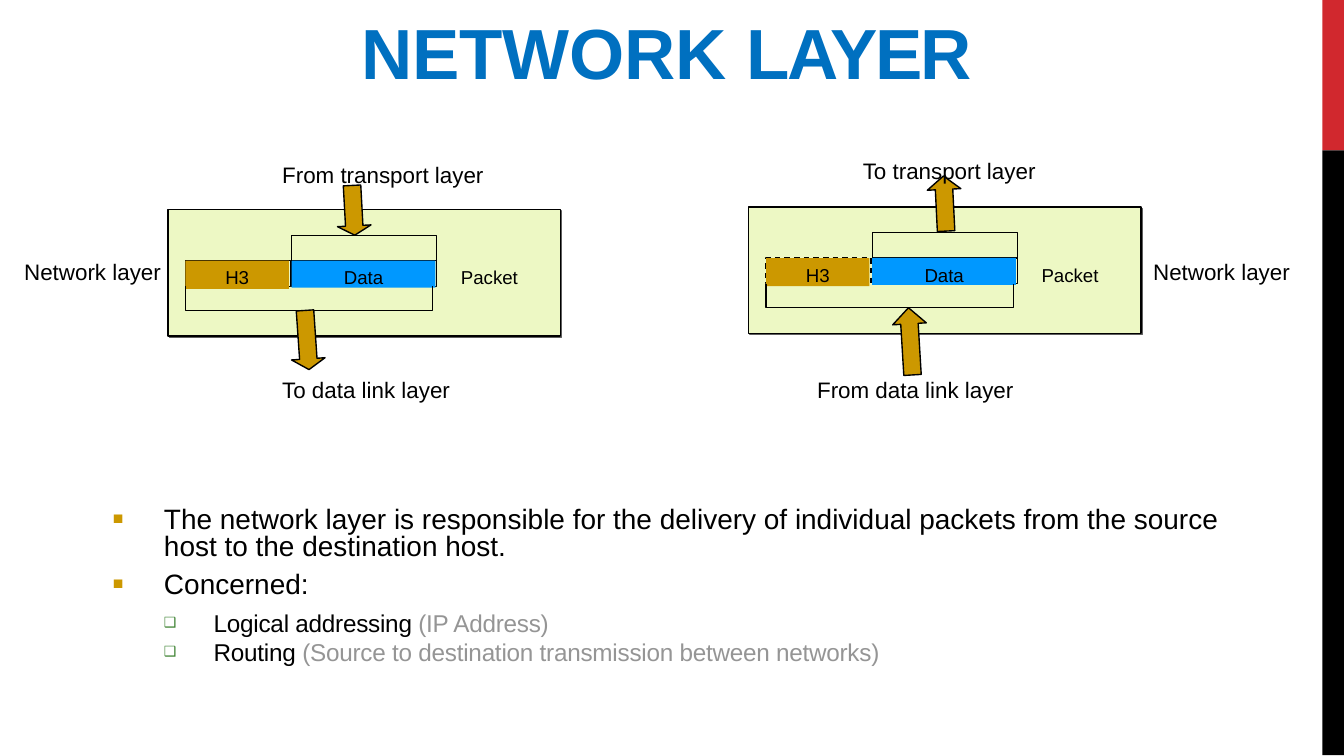
from math import hypot

from lxml.etree import SubElement
from pptx import Presentation
from pptx.dml.color import RGBColor
from pptx.enum.dml import MSO_LINE
from pptx.enum.shapes import MSO_SHAPE
from pptx.enum.text import MSO_ANCHOR, MSO_AUTO_SIZE, PP_ALIGN
from pptx.oxml.ns import qn
from pptx.util import Inches, Pt

BLACK, GOLD, GREY = "000000", "CC9800", "959595"


def color(text):
    return RGBColor.from_string(text)


def apply(item, **values):
    for name, value in values.items():
        setattr(item, name, value)


def place(shape, left, top, width, height):
    apply(shape, left=Inches(left), top=Inches(top),
          width=Inches(width), height=Inches(height))


def paint(shape, fill=None, line=None):
    shape.shadow.inherit = False
    if fill:
        shape.fill.solid()
        shape.fill.fore_color.rgb = color(fill)
    else:
        shape.fill.background()
    if line:
        shape.line.color.rgb = color(line)
        shape.line.width = Pt(0.75)
    else:
        shape.line.fill.background()
    return shape


def rect(slide, left, top, width, height, fill=None, line=None):
    shape = slide.shapes.add_shape(
        MSO_SHAPE.RECTANGLE, Inches(left), Inches(top), Inches(width), Inches(height))
    return paint(shape, fill, line)


def frame(shape, inset=0, wrap=True, anchor=MSO_ANCHOR.TOP):
    """Set the margins and flow of a shape's text and return its frame."""
    text = shape.text_frame
    apply(text, margin_left=0, margin_right=0, margin_top=Inches(inset),
          margin_bottom=0, word_wrap=wrap, auto_size=MSO_AUTO_SIZE.NONE,
          vertical_anchor=anchor)
    return text


def write(para, text, size, fill=BLACK, bold=False, space=0):
    """Add a run; space is the letter spacing in hundredths of a point."""
    run = para.add_run()
    run.text = text
    apply(run.font, name="Arial", size=Pt(size), bold=bold)
    run.font.color.rgb = color(fill)
    if space:
        run._r.get_or_add_rPr().set("spc", str(space))


def label(slide, text, left, top, width, size=12):
    box = slide.shapes.add_textbox(
        Inches(left), Inches(top), Inches(width), Inches(size / 60 + 0.02))
    write(frame(box, 0.02, False).paragraphs[0], text, size)


def path(slide, points, close, fill=None):
    start, *rest = [(Inches(x), Inches(y)) for x, y in points]
    pen = slide.shapes.build_freeform(*start)
    pen.add_line_segments(rest, close=close)
    return paint(pen.convert_to_shape(), fill, BLACK)


def arrow(slide, tail, tip, head):
    """Draw a block arrow along the line from tail to tip."""
    dx, dy = tip[0] - tail[0], tip[1] - tail[1]
    size = hypot(dx, dy)
    ux, uy = dx / size, dy / size
    neck = size - head
    sides = [(0, 0.065), (neck, 0.065), (neck, 0.125), (size, 0),
             (neck, -0.125), (neck, -0.065), (0, -0.065)]
    path(slide, [(tail[0] + a * ux - b * uy, tail[1] + a * uy + b * ux)
                 for a, b in sides], True, GOLD)


def field(slide, text, left, top, width, height, fill):
    box = rect(slide, left, top, width, height, fill)
    para = frame(box, 0.04).paragraphs[0]
    para.alignment = PP_ALIGN.CENTER
    write(para, text, 10)


def packet(slide, left, top, arrows, labels, dashed=False):
    """Draw one host's network layer, measured from its panel's corner."""
    def at(x, y):
        return left + x, top + y

    rect(slide, *at(0.01, 0.01), 2.92, 0.94, line="5E5E5E")
    rect(slide, *at(0, 0), 2.92, 0.94, "EDF8C4", BLACK)
    rect(slide, *at(0.92, 0.38), 1.08, 0.19, line=BLACK)
    field(slide, "Data", *at(0.92, 0.38), 1.07, 0.2, "0098FF")
    edge = rect(slide, *at(0.13, 0.38), 0.78, 0.19, line=BLACK)
    if dashed:
        edge.line.dash_style = MSO_LINE.DASH
    field(slide, "H3", *at(0.13, 0.38), 0.77, 0.21, GOLD)
    for x1, x2, base, end in [(0.13, 1.97, 0.75, 0.57), (0.92, 2, 0.19, 0.38)]:
        path(slide, [at(x1, end), at(x1, base), at(x2, base), at(x2, end)], False)
    for tail, tip, head in arrows:
        arrow(slide, at(*tail), at(*tip), head)
    label(slide, "Packet", *at(2.18, 0.4), 0.45, 10)
    for text, x, y, width in labels:
        label(slide, text, *at(x, y), width)


def bullet(para, mark, fill, scale, left, hang):
    props = para._p.get_or_add_pPr()
    props.set("marL", str(Inches(left)))
    props.set("indent", str(-Inches(hang)))
    tint = SubElement(props, qn("a:buClr"))
    SubElement(tint, qn("a:srgbClr"), val=fill)
    SubElement(props, qn("a:buSzPct"), val=str(scale * 1000))
    SubElement(props, qn("a:buFont"), typeface="Arial")
    SubElement(props, qn("a:buChar"), char=mark)


def points(body, left, top, width, height):
    place(body, left, top, width, height)
    text = frame(body)
    rows = [
        (0, 0, 0.8, "The network layer is responsible for the delivery of individual "
         "packets from the source host to the destination host.", ""),
        (0, 2.5, 1, "Concerned:", ""),
        (1, 4.5, 1, "Logical addressing ", "(IP Address)"),
        (1, 0, 1, "Routing ", "(Source to destination transmission between networks)"),
    ]
    looks = [(15, 0, ("■", GOLD, 63, 0.38, 0.38)),
             (13, -10, ("❑", "3A802E", 58, 0.75, 0.37))]
    for i, (level, gap, lead, main, extra) in enumerate(rows):
        para = text.add_paragraph() if i else text.paragraphs[0]
        size, space, mark = looks[level]
        bullet(para, *mark)
        apply(para, level=level, space_before=Pt(gap), space_after=Pt(0),
              line_spacing=lead, alignment=PP_ALIGN.LEFT)
        write(para, main, size, space=space)
        if extra:
            write(para, extra, size, GREY, space=space)


def heading(title, left, top, width, height):
    place(title, left, top, width, height)
    para = frame(title, wrap=False, anchor=MSO_ANCHOR.BOTTOM).paragraphs[0]
    para.alignment = PP_ALIGN.LEFT
    for text, space in [("NETWORK ", -10), ("LAYER", -120)]:
        write(para, text, 38, "0070C0", True, space)


def main():
    deck = Presentation()
    # 16:9
    apply(deck, slide_width=Inches(10), slide_height=Inches(10 * 9 / 16))
    slide = deck.slides.add_slide(deck.slide_layouts[1])
    rect(slide, 9.84, 0, 0.16, 1.12, "D1282E")
    rect(slide, 9.84, 1.12, 0.16, 4.5, BLACK)
    heading(slide.shapes.title, 2.69, 0.05, 4.74, 0.65)
    points(slide.placeholders[1], 0.84, 3.78, 8.3, 1.2)
    packet(slide, 1.25, 1.56,
           [((1.02, 0.75), (1.05, 1.19), 0.08), ((1.37, -0.18), (1.39, 0.19), 0.07)],
           [("From transport layer", 0.85, -0.38, 1.53),
            ("To data link layer", 0.85, 1.22, 1.3),
            ("Network layer", -1.07, 0.34, 1.05)])
    packet(slide, 5.57, 1.54,
           [((1.22, 1.25), (1.19, 0.75), 0.12), ((1.47, 0.18), (1.45, -0.23), 0.1)],
           [("To transport layer", 0.85, -0.39, 1.34),
            ("From data link layer", 0.51, 1.24, 1.49),
            ("Network layer", 3.01, 0.36, 1.05)], dashed=True)
    deck.save("out.pptx")


if __name__ == "__main__":
    main()
